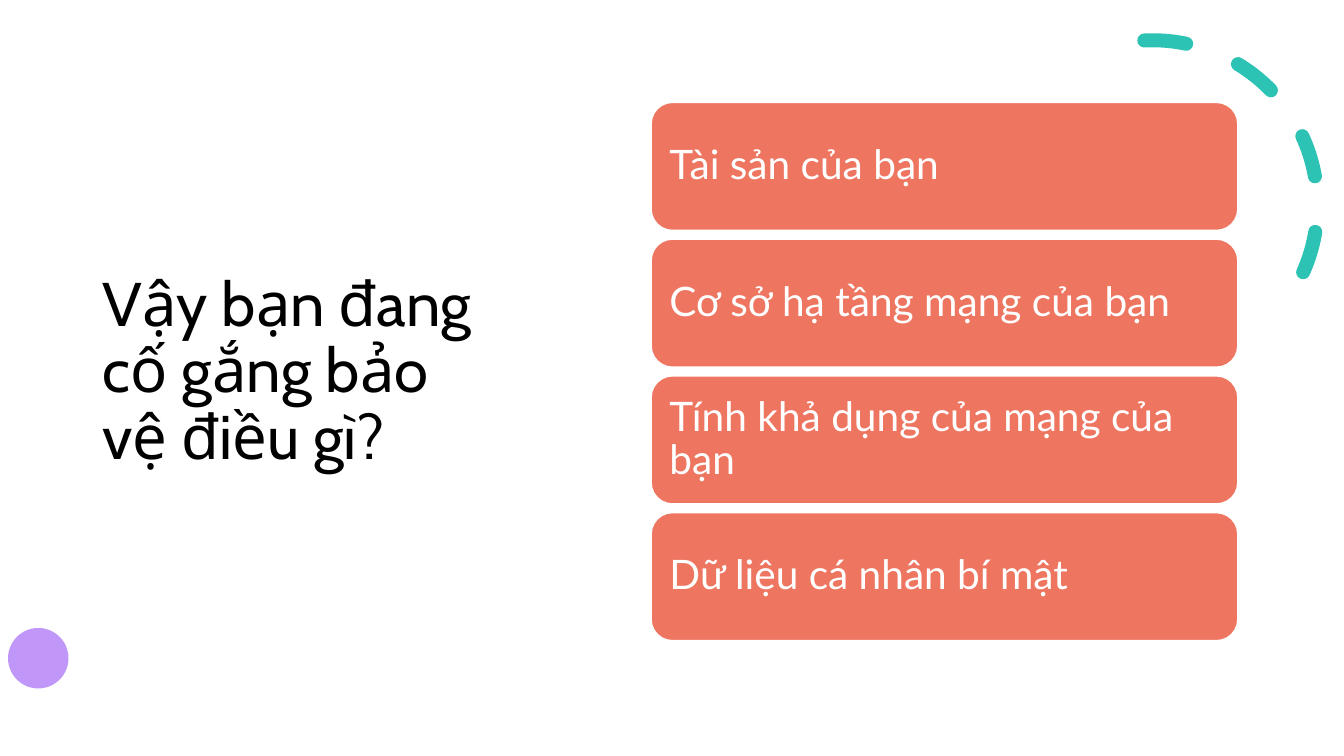
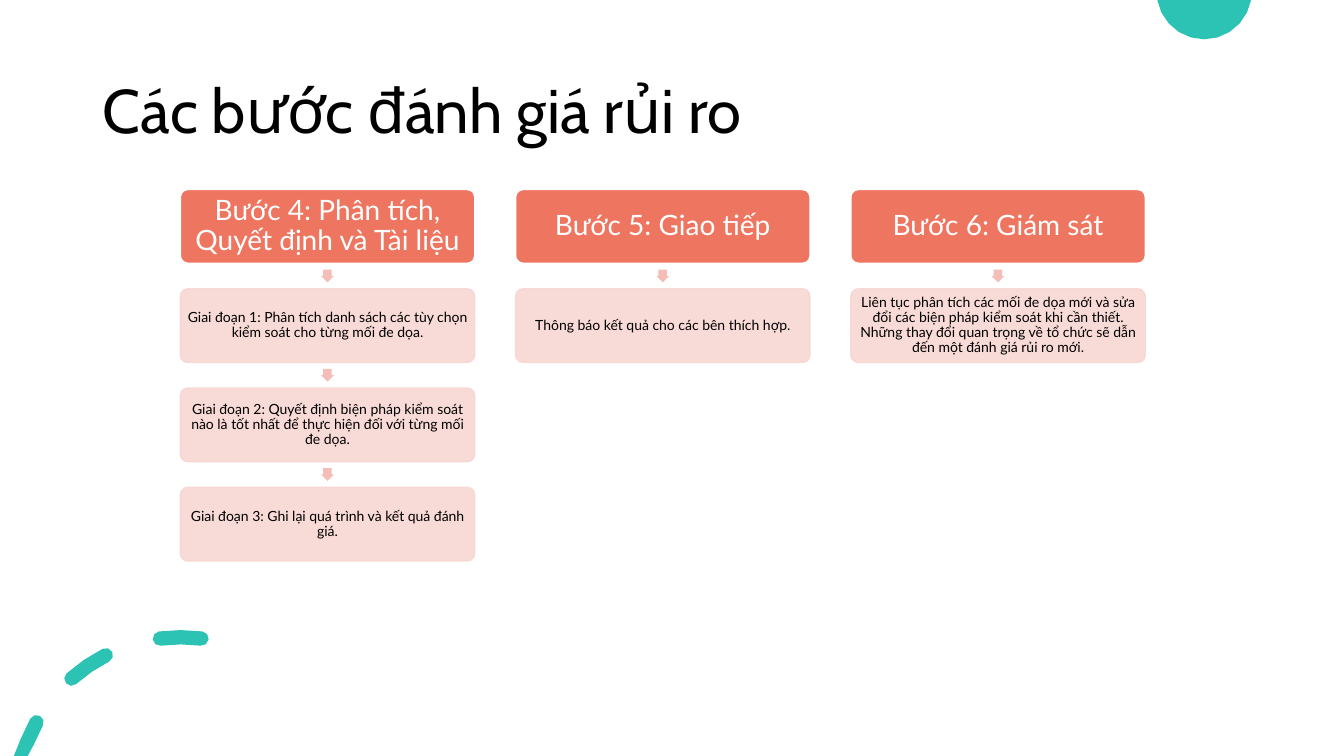
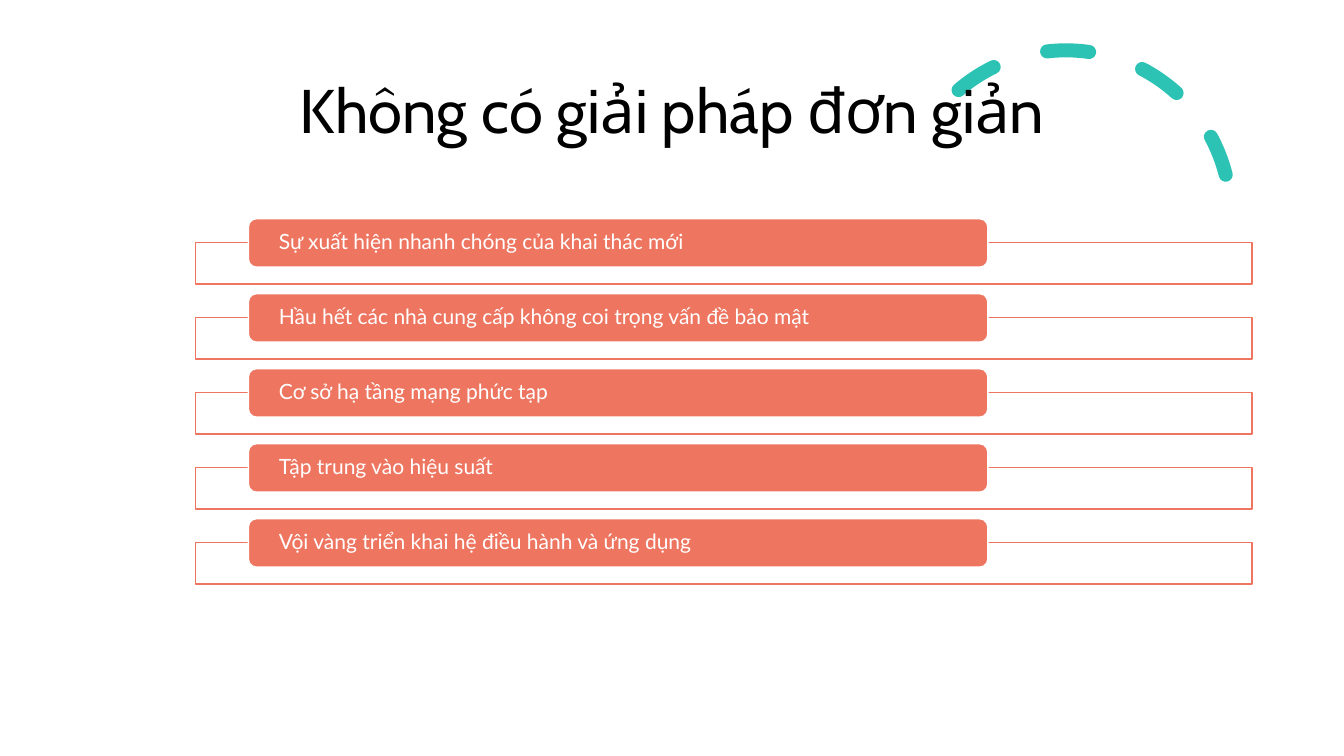
from collections import namedtuple
from math import cos, radians, sin

from lxml import etree
from pptx import Presentation
from pptx import util as u
from pptx.dml.color import RGBColor
from pptx.enum import dml, shapes, text
from pptx.oxml.ns import qn

WIDTH, HEIGHT = u.Inches(40 / 3), u.Inches(7.5)
BLACK = RGBColor(0x00, 0x00, 0x00)
WHITE = RGBColor(0xFF, 0xFF, 0xFF)
CORAL = RGBColor(0xEE, 0x76, 0x61)
BLUSH = RGBColor(0xF8, 0xD6, 0xD2)
ROSE = RGBColor(0xF5, 0xBD, 0xB7)
TEAL = RGBColor(0x2C, 0xC3, 0xB4)
LILAC = RGBColor(0xC0, 0x97, 0xF8)
TITLE_FONT, BODY_FONT = "Cabin", "Lato"
LEFT, CENTER = text.PP_ALIGN.LEFT, text.PP_ALIGN.CENTER
PRESET = shapes.MSO_SHAPE

Box = namedtuple("Box", "left top width height")


def part(box, left, top, width, height):
    """Part of a box, given as shares of its size."""
    return Box(round(box.left + left * box.width), round(box.top + top * box.height),
               round(width * box.width), round(height * box.height))


def area(left, top, width, height):
    """Region of the slide, in percent of its size."""
    return part(Box(0, 0, WIDTH, HEIGHT), left / 100, top / 100, width / 100, height / 100)


def split(box, columns=1, rows=1, gap=0.0):
    """Cells of a grid, row by row; the gap is a share of one cell."""
    width = 1 / (columns + gap * (columns - 1))
    height = 1 / (rows + gap * (rows - 1))
    return [part(box, column * width * (1 + gap), row * height * (1 + gap), width, height)
            for row in range(rows) for column in range(columns)]


def write(shape, words, font, size, color, align=LEFT, inset=(0.1, 0.05)):
    frame = shape.text_frame
    frame.word_wrap = True
    frame.vertical_anchor = text.MSO_ANCHOR.MIDDLE
    frame.margin_left = frame.margin_right = u.Inches(inset[0])
    frame.margin_top = frame.margin_bottom = u.Inches(inset[1])
    para = frame.paragraphs[0]
    para.text = words
    para.alignment, para.line_spacing = align, 0.9
    para.font.name, para.font.size, para.font.color.rgb = font, u.Pt(size), color


def paint(shape, fill=None, line=None, weight=1):
    shape.shadow.inherit = False
    for layer, color in ((shape.fill, fill), (shape.line.fill, line)):
        if color is None:
            layer.background()
        else:
            layer.solid()
            layer.fore_color.rgb = color
    if line is not None:
        shape.line.width = u.Pt(weight)


def add_preset(page, preset, box, fill=None, line=None, weight=1, adjust=()):
    shape = page.shapes.add_shape(preset, *box)
    paint(shape, fill, line, weight)
    for index, value in enumerate(adjust):
        shape.adjustments[index] = value
    return shape


def fade(shape, percent):
    for color in shape.element.spPr.iter(qn("a:srgbClr")):
        etree.SubElement(color, qn("a:alpha")).set("val", str(percent * 1000))


def add_title(page, box, words, align=LEFT):
    write(page.shapes.add_textbox(*box), words, TITLE_FONT, 44, BLACK, align)


def add_dashed_arc(page, box, rotation, adjust):
    arc = add_preset(page, PRESET.ARC, box, line=TEAL, weight=10, adjust=adjust)
    arc.rotation = rotation
    arc.line.dash_style = dml.MSO_LINE.DASH
    arc.element.spPr.find(qn("a:ln")).set("cap", "rnd")


def arc_points(center, radius, start, end, steps):
    """Points on a circle kept within the slide's height; degrees clockwise from the top."""
    angles = [radians(start + (end - start) * step / steps) for step in range(steps + 1)]
    return [(center[0] + radius * sin(angle),
             min(max(center[1] - radius * cos(angle), 0), HEIGHT)) for angle in angles]


def add_outline(page, contours):
    builder = page.shapes.build_freeform(*contours[0][0])
    for index, points in enumerate(contours):
        if index:
            builder.move_to(*points[0])
        builder.add_line_segments(points[1:], close=True)
    paint(builder.convert_to_shape(), TEAL)


def add_corner_ornaments(page):
    """Half disc at the top edge and round-ended dashes in the lower left corner."""
    disc_center = (WIDTH * 0.896, -HEIGHT * 0.011)
    add_outline(page, [arc_points(disc_center, HEIGHT * 0.063, 100, 260, 10)])
    center, radius, half = (HEIGHT * 0.239, HEIGHT * 1.061), HEIGHT * 0.218, HEIGHT * 0.0095
    dashes = []
    for start, end in ((-76, -61), (-41.5, -27), (-7.25, 7.25)):
        tail, head = arc_points(center, radius, start, end, 1)
        dashes.append(arc_points(center, radius + half, start, end, 2)
                      + arc_points(head, half, end, end + 180, 4)[1:-1]
                      + arc_points(center, radius - half, end, start, 2)
                      + arc_points(tail, half, start + 180, start + 360, 4)[1:-1])
    add_outline(page, dashes)


def add_cards(page, box, items):
    for cell, words in zip(split(box, rows=len(items), gap=0.068), items):
        card = add_preset(page, PRESET.ROUNDED_RECTANGLE, cell, CORAL, WHITE)
        write(card, words, BODY_FONT, 29, WHITE, inset=(0.12, 0.12))


def add_step_column(page, box, heading, stages, rows):
    cells = split(box, rows=rows, gap=0.347)
    gap = cells[1].top - cells[0].top - cells[0].height
    size = gap // 2
    for index, (cell, words) in enumerate(zip(cells, [heading] + stages)):
        is_stage = index > 0
        if is_stage:
            arrow = Box(cell.left + (cell.width - size) // 2,
                        cell.top - (gap + size) // 2, size, size)
            add_preset(page, PRESET.DOWN_ARROW, arrow, ROSE, adjust=(0.667, 0.5))
        colors = (BLUSH, BLUSH) if is_stage else (CORAL, WHITE)
        step = add_preset(page, PRESET.ROUNDED_RECTANGLE, cell, *colors, adjust=(0.1,))
        if is_stage:
            fade(step, 90)
            write(step, words, BODY_FONT, 10, BLACK, CENTER, (0.01, 0.01))
        else:
            write(step, words, BODY_FONT, 20, WHITE, CENTER, (0.03, 0.03))


def add_steps(page, box, steps):
    rows = 1 + max(len(stages) for _, stages in steps)
    for column, (heading, stages) in zip(split(box, columns=len(steps), gap=0.139), steps):
        add_step_column(page, column, heading, stages, rows)


def add_labelled_frames(page, box, items):
    for cell, words in zip(split(box, rows=len(items), gap=0.145), items):
        frame = add_preset(page, PRESET.RECTANGLE, part(cell, 0, 0.365, 1, 0.635), WHITE, CORAL)
        frame.fill.fore_color.rgb = WHITE
        label = add_preset(page, PRESET.ROUNDED_RECTANGLE,
                           part(cell, 0.05, 0, 0.7, 0.74), CORAL, WHITE)
        write(label, words, BODY_FONT, 15, WHITE, inset=(0.28, 0))


TOP_TITLE = area(6.9, 5.33, 86.25, 19.33)


def build_assets(page):
    add_dashed_arc(page, area(73.5, 5.33, 24.53, 43.6), 357.1, (162, 22.87))
    add_preset(page, PRESET.OVAL, area(0.6, 83.07, 4.5, 8), LILAC)
    add_title(page, area(6.9, 12.75, 30.23, 73.07), "Vậy bạn đang cố gắng bảo vệ điều gì?")
    add_cards(page, area(48.45, 13.55, 43.65, 71.2), [
        "Tài sản của bạn",
        "Cơ sở hạ tầng mạng của bạn",
        "Tính khả dụng của mạng của bạn",
        "Dữ liệu cá nhân bí mật",
    ])


def build_risk_steps(page):
    add_corner_ornaments(page)
    add_title(page, TOP_TITLE, "Các bước đánh giá rủi ro")
    add_steps(page, area(13.42, 25.07, 71.79, 49.13), [
        ("Bước 4: Phân tích, Quyết định và Tài liệu", [
            "Giai đoạn 1: Phân tích danh sách các tùy chọn kiểm soát cho từng mối đe dọa.",
            "Giai đoạn 2: Quyết định biện pháp kiểm soát nào là tốt nhất để thực hiện "
            "đối với từng mối đe dọa.",
            "Giai đoạn 3: Ghi lại quá trình và kết quả đánh giá.",
        ]),
        ("Bước 5: Giao tiếp", ["Thông báo kết quả cho các bên thích hợp."]),
        ("Bước 6: Giám sát", [
            "Liên tục phân tích các mối đe dọa mới và sửa đổi các biện pháp kiểm soát "
            "khi cần thiết. Những thay đổi quan trọng về tổ chức sẽ dẫn đến một đánh giá "
            "rủi ro mới.",
        ]),
    ])


def build_no_simple_solution(page):
    add_dashed_arc(page, area(67.05, 6.67, 24.53, 43.6), 345.8, (146.13, 0))
    add_title(page, TOP_TITLE, "Không có giải pháp đơn giản", CENTER)
    add_labelled_frames(page, area(14.55, 28.93, 78.6, 48.35), [
        "Sự xuất hiện nhanh chóng của khai thác mới",
        "Hầu hết các nhà cung cấp không coi trọng vấn đề bảo mật",
        "Cơ sở hạ tầng mạng phức tạp",
        "Tập trung vào hiệu suất",
        "Vội vàng triển khai hệ điều hành và ứng dụng",
    ])


def main():
    deck = Presentation()
    deck.slide_width, deck.slide_height = WIDTH, HEIGHT
    for build in (build_assets, build_risk_steps, build_no_simple_solution):
        build(deck.slides.add_slide(deck.slide_layouts[6]))
    deck.save("out.pptx")


if __name__ == "__main__":
    main()
